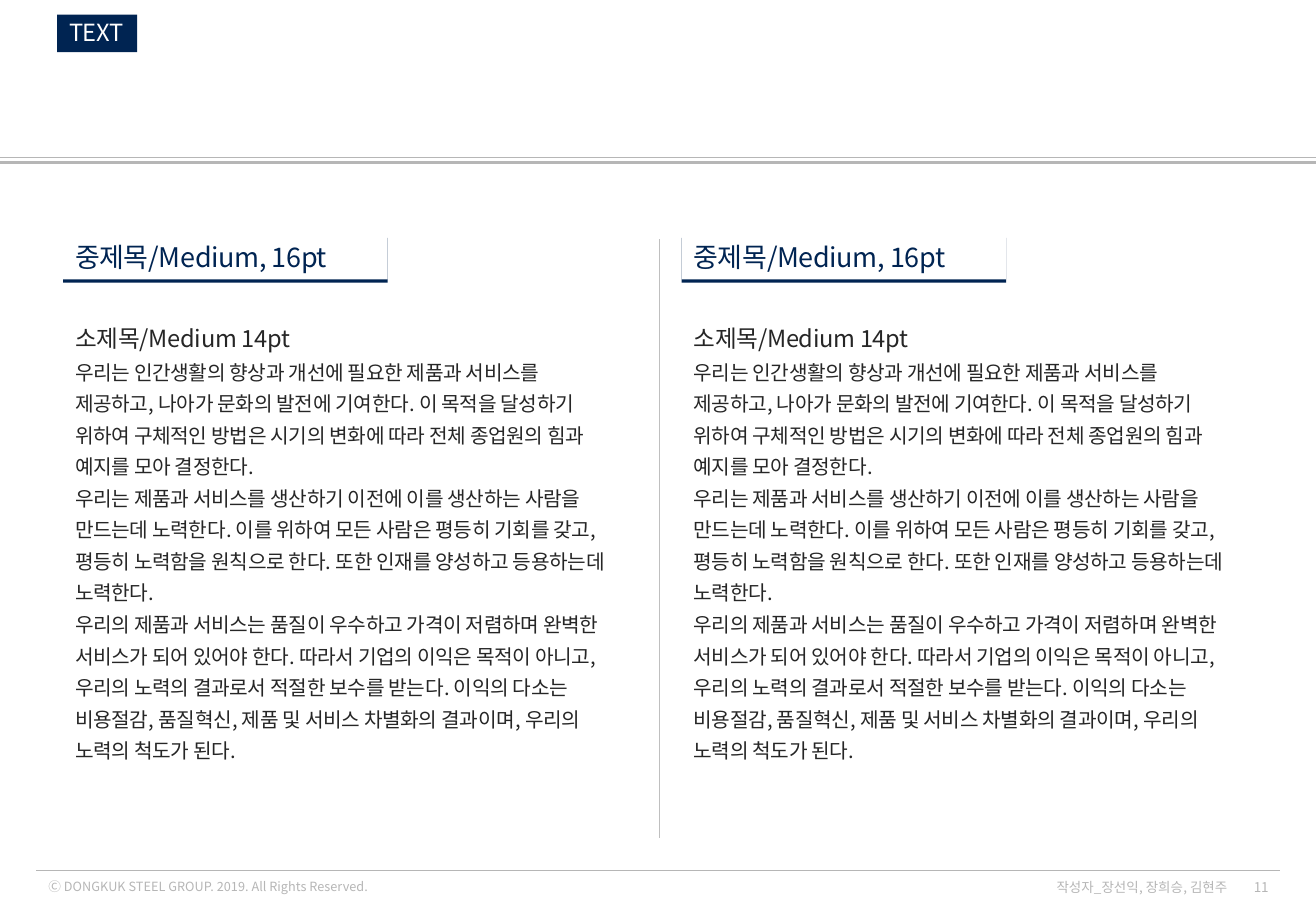
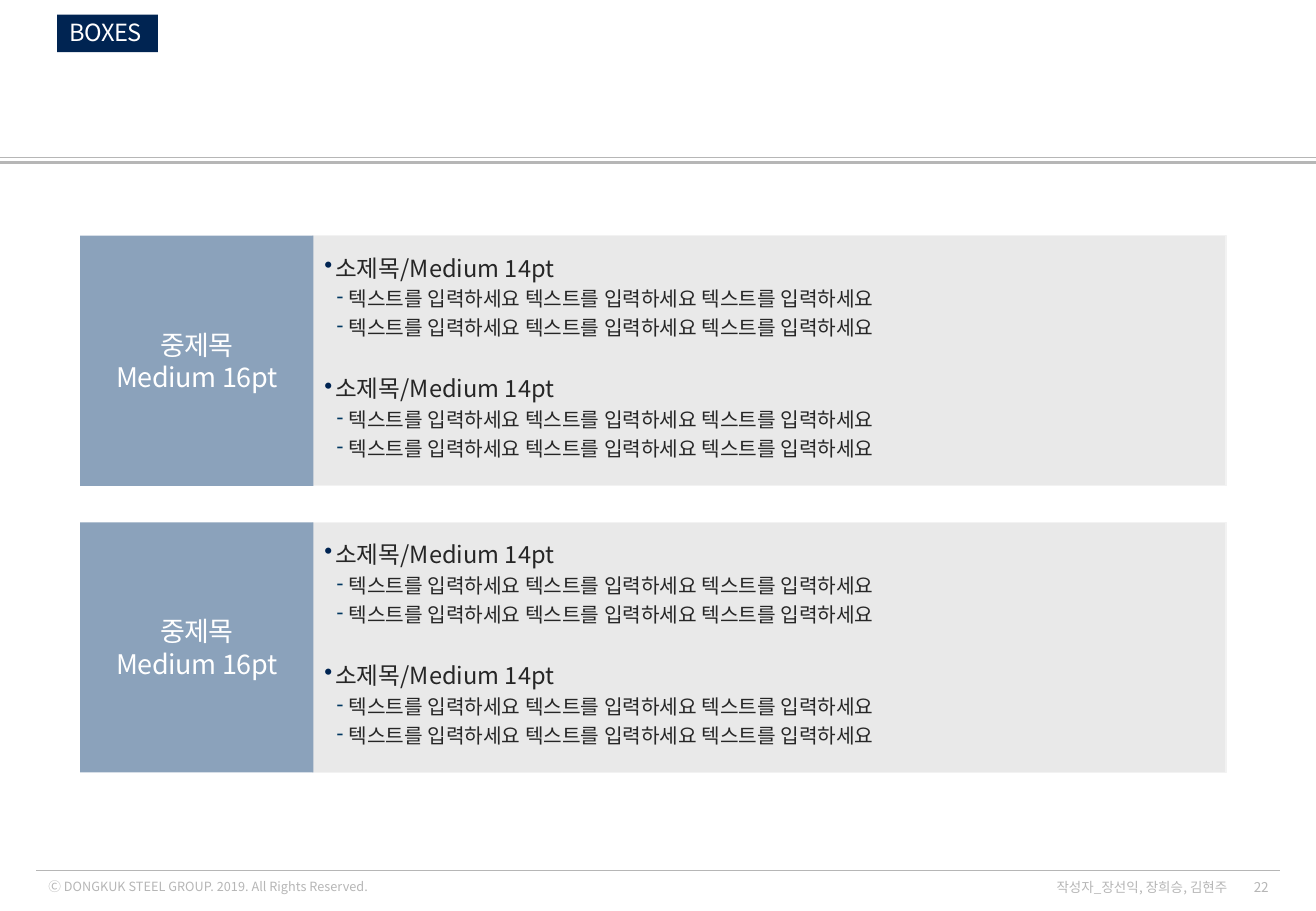
"""Build a two-column text slide and a boxed-list slide with a shared frame."""
from lxml.etree import SubElement
from pptx import Presentation
from pptx.dml.color import RGBColor
from pptx.enum.shapes import MSO_CONNECTOR, MSO_SHAPE
from pptx.enum.text import MSO_ANCHOR as ANCHOR, PP_ALIGN as ALIGN
from pptx.oxml.ns import qn
from pptx.util import Pt

PX = 9144
FONT = "Noto Sans CJK KR"
NAVY = RGBColor(0x00, 0x24, 0x52)
DEEP_BLUE = RGBColor(0x00, 0x37, 0x60)
STEEL = RGBColor(0x8B, 0xA2, 0xBB)
PANEL = RGBColor(0xE9, 0xE9, 0xE9)
PANEL_EDGE = RGBColor(0xF2, 0xF2, 0xF2)
INK = RGBColor(0x26, 0x26, 0x26)
RULE = RGBColor(0xB6, 0xB6, 0xB6)
DIVIDER = RGBColor(0xBF, 0xBF, 0xBF)
WHITE = RGBColor(0xFF, 0xFF, 0xFF)

COPYRIGHT = "Ⓒ DONGKUK STEEL GROUP. 2019. All Rights Reserved."
AUTHORS = "작성자_장선익, 장희승, 김현주"
FRAME_RULES = [
    ((0, 134, 1083, 134), 1.5),
    ((0, 130, 1083, 130), 0.5),
    ((30, 717, 1053, 717), 0.5),
]

COLUMN_TITLE = "중제목/Medium, 16pt"
SUBTITLE = "소제목/Medium 14pt"
COLUMN_BODY = [
    "우리는 인간생활의 향상과 개선에 필요한 제품과 서비스를 제공하고, 나아가 문화의 발전에 기여한다. "
    "이 목적을 달성하기 위하여 구체적인 방법은 시기의 변화에 따라 전체 종업원의 힘과 예지를 모아 결정한다.",
    "우리는 제품과 서비스를 생산하기 이전에 이를 생산하는 사람을 만드는데 노력한다. "
    "이를 위하여 모든 사람은 평등히 기회를 갖고, 평등히 노력함을 원칙으로 한다. "
    "또한 인재를 양성하고 등용하는데 노력한다.",
    "우리의 제품과 서비스는 품질이 우수하고 가격이 저렴하며 완벽한 서비스가 되어 있어야 한다. "
    "따라서 기업의 이익은 목적이 아니고, 우리의 노력의 결과로서 적절한 보수를 받는다. "
    "이익의 다소는 비용절감, 품질혁신, 제품 및 서비스 차별화의 결과이며, 우리의 노력의 척도가 된다.",
]
COLUMN_LEFTS = (52, 561)

CARD_TITLE = ["중제목", "Medium 16pt"]
ITEM = "텍스트를 입력하세요 텍스트를 입력하세요 텍스트를 입력하세요"
GROUPS = [(SUBTITLE, [ITEM, ITEM])] * 2
CARD_TOPS = (194, 430)
CARD_HEIGHT = 206


def add_rule(slide, ends, color, width):
    rule = slide.shapes.add_connector(MSO_CONNECTOR.STRAIGHT, *(n * PX for n in ends))
    rule.line.color.rgb = color
    rule.line.width = Pt(width)
    SubElement(rule._element.spPr, qn("a:effectLst"))


def add_rect(slide, box, fill, edge=None):
    rect = slide.shapes.add_shape(MSO_SHAPE.RECTANGLE, *(n * PX for n in box))
    rect.shadow.inherit = False
    rect.fill.solid()
    rect.fill.fore_color.rgb = fill
    if edge is None:
        rect.line.fill.background()
    else:
        rect.line.color.rgb = edge
        rect.line.width = Pt(0.75)
    return rect


def add_text_area(slide, box):
    return slide.shapes.add_textbox(*(n * PX for n in box))


def set_frame(shape, anchor, wrap=True, inset=5):
    frame = shape.text_frame
    frame.word_wrap = wrap
    frame.vertical_anchor = anchor
    frame.margin_left = frame.margin_right = 10 * PX
    frame.margin_top = frame.margin_bottom = inset * PX
    return frame


def add_line(frame, text, size, color, align=ALIGN.LEFT, spacing=None, tracking=0,
             bullet=None, before=None):
    paragraph = frame.paragraphs[0]
    if paragraph.runs:
        paragraph = frame.add_paragraph()
    paragraph.add_run().text = text
    paragraph.alignment = align
    if spacing:
        paragraph.line_spacing = spacing
    if before:
        paragraph.space_before = Pt(before)
    if bullet:
        mark, mark_color, level, left, hang = bullet
        paragraph.level = level
        props = paragraph._p.get_or_add_pPr()
        props.set("marL", str(left * PX))
        props.set("indent", str(-hang * PX))
        SubElement(SubElement(props, qn("a:buClr")), qn("a:srgbClr"), val=str(mark_color))
        SubElement(props, qn("a:buChar"), char=mark)
    font = paragraph.font
    font.size = Pt(size)
    font.color.rgb = color
    font.name = FONT
    defaults = paragraph._p.pPr.find(qn("a:defRPr"))
    defaults.set("spc", str(tracking))
    SubElement(defaults, qn("a:ea"), typeface=FONT)


def add_underline_shadow(shape):
    effects = shape._element.spPr.find(qn("a:effectLst"))
    shadow = SubElement(effects, qn("a:outerShdw"), blurRad="0", dist=str(Pt(2)),
                        dir="5400000", algn="t", rotWithShape="0")
    SubElement(shadow, qn("a:srgbClr"), val=str(NAVY))


def add_framed_slide(deck, label, label_width, number):
    slide = deck.slides.add_slide(deck.slide_layouts[6])
    for ends, width in FRAME_RULES:
        add_rule(slide, ends, RULE, width)
    footers = [
        ((30, 718, 347, 23), COPYRIGHT, 7.5, ALIGN.LEFT),
        ((1013, 722, 41, 16), number, 8, ALIGN.RIGHT),
        ((852, 722, 168, 16), AUTHORS, 8, ALIGN.RIGHT),
    ]
    for box, text, size, align in footers:
        frame = set_frame(add_text_area(slide, box), ANCHOR.MIDDLE)
        add_line(frame, text, size, RULE, align)
    tag = add_rect(slide, (47, 12, label_width, 31), NAVY)
    add_line(set_frame(tag, ANCHOR.MIDDLE, wrap=False), label, 14, WHITE,
             spacing=0.9, tracking=-20)
    return slide


def add_column(slide, left):
    body = set_frame(add_text_area(slide, (left, 255, 457, 435)), ANCHOR.TOP)
    add_line(body, SUBTITLE, 14, INK, spacing=1.3, tracking=-20)
    for text in COLUMN_BODY:
        add_line(body, text, 12, INK, spacing=1.3, tracking=-20)
    heading = add_rect(slide, (left, 193, 267, 37), WHITE)
    add_underline_shadow(heading)
    add_line(set_frame(heading, ANCHOR.BOTTOM), COLUMN_TITLE, 16, NAVY, tracking=-20)


def add_card(slide, top):
    panel = add_rect(slide, (257, top, 752, CARD_HEIGHT), PANEL, PANEL_EDGE)
    frame = set_frame(panel, ANCHOR.TOP, inset=10)
    for index, (subtitle, items) in enumerate(GROUPS):
        add_line(frame, subtitle, 14, INK, spacing=1.2, before=17 if index else None,
                 bullet=("•", NAVY, 1, 9, 9))
        for item in items:
            add_line(frame, item, 12, INK, spacing=1.2, bullet=("‐", DEEP_BLUE, 2, 20, 10))
    title = add_rect(slide, (66, top, 192, CARD_HEIGHT), STEEL)
    frame = set_frame(title, ANCHOR.MIDDLE, inset=10)
    for text in CARD_TITLE:
        add_line(frame, text, 16, WHITE, ALIGN.CENTER, tracking=-20)


def main():
    deck = Presentation()
    deck.slide_width, deck.slide_height = 1083 * PX, 750 * PX
    text_slide = add_framed_slide(deck, "TEXT", 66, "11")
    add_rule(text_slide, (543, 197, 543, 690), DIVIDER, 0.5)
    for left in COLUMN_LEFTS:
        add_column(text_slide, left)
    boxes_slide = add_framed_slide(deck, "BOXES", 83, "22")
    for top in CARD_TOPS:
        add_card(boxes_slide, top)
    deck.save("out.pptx")


if __name__ == "__main__":
    main()
